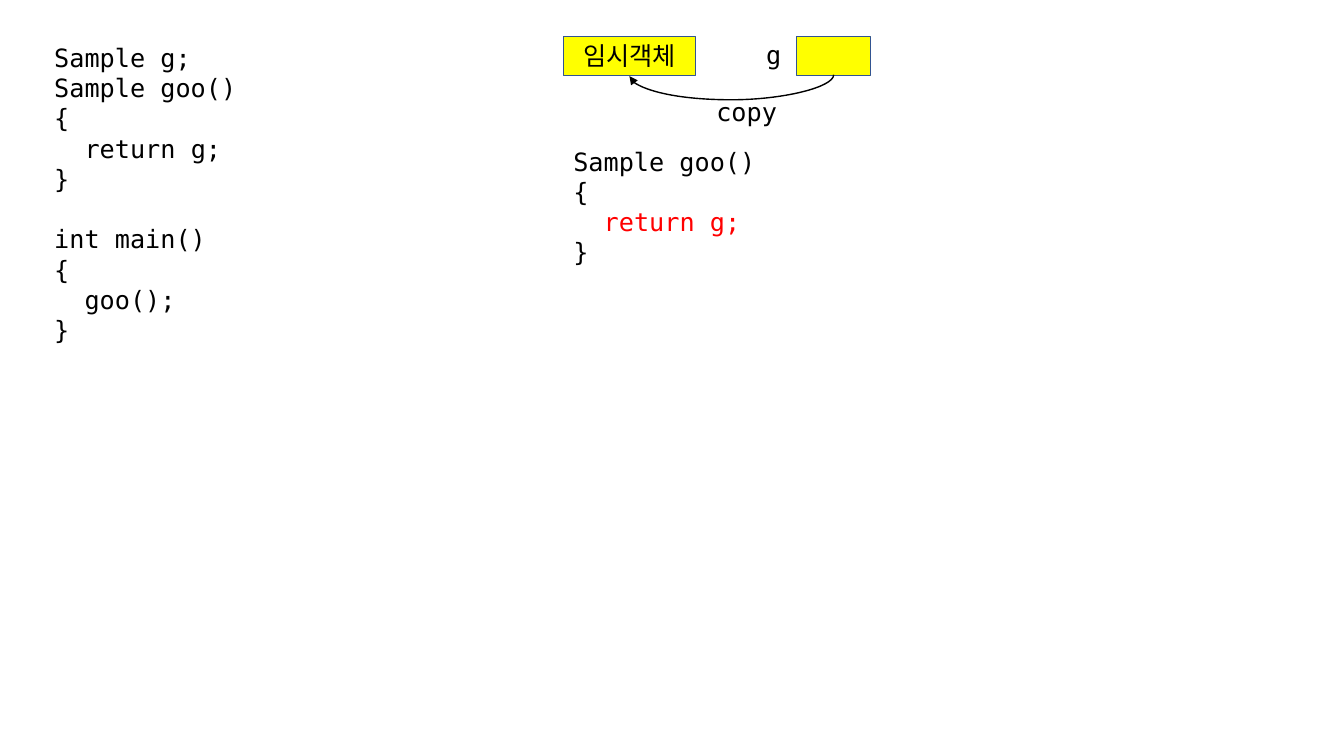
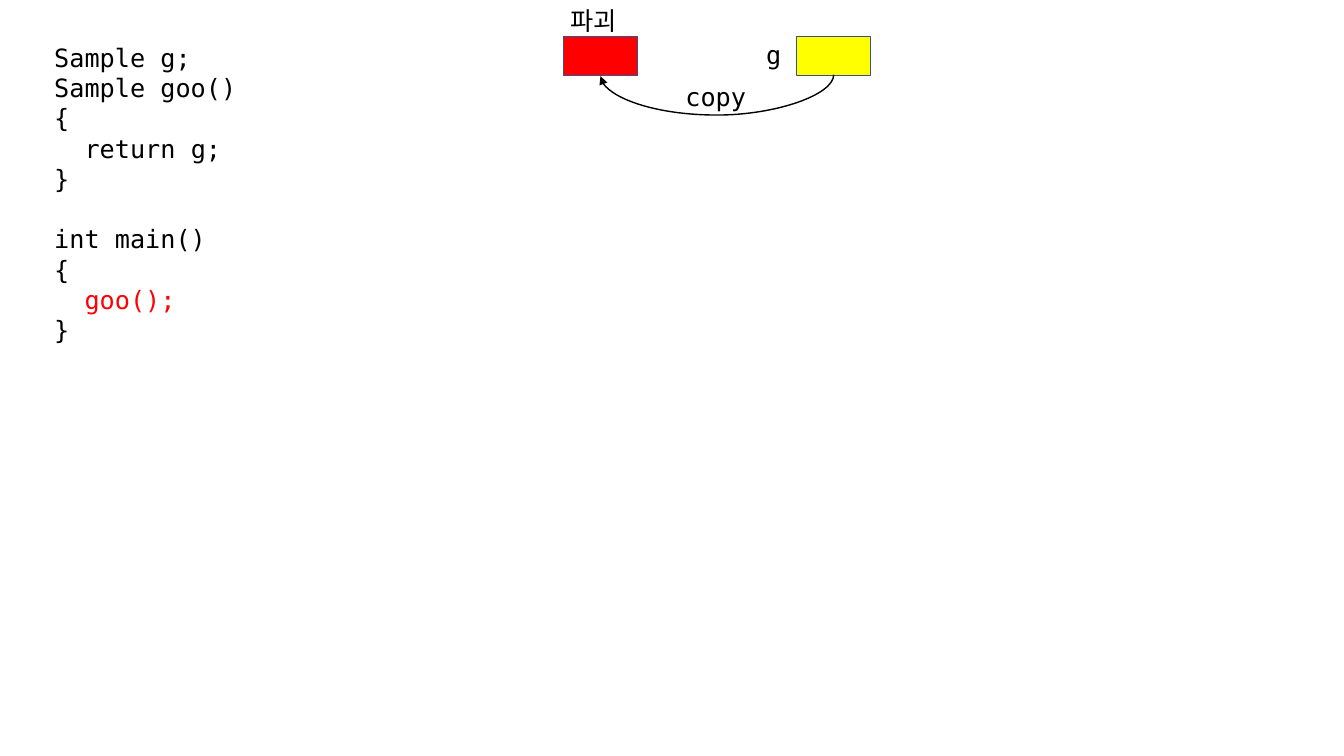
from pptx import Presentation
from pptx.dml.color import RGBColor
from pptx.enum.shapes import MSO_CONNECTOR, MSO_SHAPE
from pptx.enum.text import MSO_ANCHOR, MSO_AUTO_SIZE, PP_ALIGN
from pptx.oxml.ns import qn
from pptx.util import Pt
from lxml import etree

RECTANGLE = MSO_SHAPE.RECTANGLE
CURVE = MSO_CONNECTOR.CURVE
MIDDLE = MSO_ANCHOR.MIDDLE
GROW = MSO_AUTO_SIZE.SHAPE_TO_FIT_TEXT
LEFT, CENTER = PP_ALIGN.LEFT, PP_ALIGN.CENTER

BLACK, RED, YELLOW, OUTLINE = "000000", "FF0000", "FFFF00", "325491"
FONT_FORMAT = {"name": "DejaVu Sans Mono", "size": Pt(18)}
LINE_PITCH = 21.6
INDENT = 21.7  # two characters of code

# Object boxes and labels, in points
BOX_TOP, BOX_WIDTH, BOX_HEIGHT = 25.9, 53, 28
TARGET_LEFT, G_LEFT = 402.4, 569
TEMPORARY_WIDTH = 94.4
LABEL_HEIGHT, WORD_WIDTH = 28.8, 58.4
CODE_WIDTH = 480

# Code: one entry per line, as (indent level, text)
GOO_CODE = [(0, "Sample goo()"), (0, "{"), (1, "return g;"), (0, "}")]
MAIN_CODE = [(0, "int main()"), (0, "{"), (1, "goo();"), (0, "}")]
PROGRAM = [[(0, "Sample g;")] + GOO_CODE, MAIN_CODE]


def color(hex_text):
    return RGBColor.from_string(hex_text)


def apply_format(target, values):
    for attribute, value in values.items():
        setattr(target, attribute, value)


def write(paragraph, text, text_color=BLACK):
    run = paragraph.add_run()
    run.text = text
    apply_format(run.font, FONT_FORMAT)
    run.font.color.rgb = color(text_color)


def add_frame(slide, left, top, width, height, wrap):
    box = slide.shapes.add_textbox(Pt(left), Pt(top), Pt(width), Pt(height))
    apply_format(box.text_frame, {"word_wrap": wrap, "auto_size": GROW})
    return box.text_frame


def add_label(slide, text, left, top, width=WORD_WIDTH):
    frame = add_frame(slide, left, top, width, LABEL_HEIGHT, False)
    write(frame.paragraphs[0], text)


def add_code(slide, blocks, left, top, active=None):
    """Write blocks of code, one line apart, with the active line in red."""
    line_count = sum(len(block) for block in blocks) + len(blocks) - 1
    frame = add_frame(slide, left, top, CODE_WIDTH,
                      line_count * LINE_PITCH + 7.2, True)
    paragraph = frame.paragraphs[0]
    for block_number, block in enumerate(blocks):
        for line_number, (level, text) in enumerate(block):
            if block_number or line_number:
                paragraph = frame.add_paragraph()
            gap = LINE_PITCH if block_number and not line_number else 0
            apply_format(paragraph, {"alignment": LEFT,
                                     "line_spacing": Pt(LINE_PITCH),
                                     "space_before": Pt(gap)})
            if level:
                properties = paragraph._p.get_or_add_pPr()
                properties.set("marL", str(Pt(level * INDENT)))
            write(paragraph, text, RED if text == active else BLACK)


def add_object(slide, left, width, fill, text=""):
    box = slide.shapes.add_shape(RECTANGLE, Pt(left), Pt(BOX_TOP),
                                 Pt(width), Pt(BOX_HEIGHT))
    box.shadow.inherit = False
    box.fill.solid()
    box.fill.fore_color.rgb = color(fill)
    box.line.color.rgb = color(OUTLINE)
    box.line.width = Pt(1)
    if text:
        box.text_frame.vertical_anchor = MIDDLE
        paragraph = box.text_frame.paragraphs[0]
        paragraph.alignment = CENTER
        write(paragraph, text)


def add_copy_arrow(slide, target_width, depth):
    """Curve from g to the target, hanging depth points below the boxes."""
    start = G_LEFT + BOX_WIDTH / 2
    end = TARGET_LEFT + target_width / 2
    middle, half = (start + end) / 2, (start - end) / 2
    bottom = BOX_TOP + BOX_HEIGHT
    # A box one point wide, turned a quarter, makes the bend equal the depth
    arrow = slide.shapes.add_connector(
        CURVE, Pt(middle - 0.5), Pt(bottom - half),
        Pt(middle + 0.5), Pt(bottom + half))
    arrow.line.color.rgb = color(BLACK)
    arrow.line.width = Pt(1)
    properties = arrow.element.spPr
    properties.find(qn("a:xfrm")).set("rot", "5400000")
    geometry = properties.find(qn("a:prstGeom"))
    adjustments = geometry.find(qn("a:avLst"))
    if adjustments is None:
        adjustments = etree.SubElement(geometry, qn("a:avLst"))
    etree.SubElement(adjustments, qn("a:gd"), name="adj1",
                     fmla=f"val {depth * 100000}")
    etree.SubElement(properties.find(qn("a:ln")), qn("a:tailEnd"),
                     type="triangle")
    etree.SubElement(properties, qn("a:effectLst"))


def add_base_slide(deck, active=None):
    """Start a slide with the program and the global object g."""
    slide = deck.slides.add_slide(deck.slide_layouts[6])
    add_code(slide, PROGRAM, 31.6, 26.6, active)
    add_object(slide, G_LEFT, BOX_WIDTH, YELLOW)
    add_label(slide, "g", 540.2, 24.5, 28)
    return slide


def add_return_slide(deck):
    slide = add_base_slide(deck)
    add_code(slide, [GOO_CODE], TARGET_LEFT, 100.8, "return g;")
    add_object(slide, TARGET_LEFT, TEMPORARY_WIDTH, YELLOW, "임시객체")
    add_copy_arrow(slide, TEMPORARY_WIDTH, 18)
    add_label(slide, "copy", 504.6, 65.5)


def add_destroy_slide(deck):
    slide = add_base_slide(deck, "goo();")
    add_object(slide, TARGET_LEFT, BOX_WIDTH, RED)
    add_copy_arrow(slide, BOX_WIDTH, 29)
    add_label(slide, "copy", 482.5, 54.7)
    add_label(slide, "파괴", 400.3, 0)


def main():
    deck = Presentation()
    apply_format(deck, {"slide_width": Pt(960), "slide_height": Pt(540)})
    add_return_slide(deck)
    add_destroy_slide(deck)
    deck.save("out.pptx")


main()
